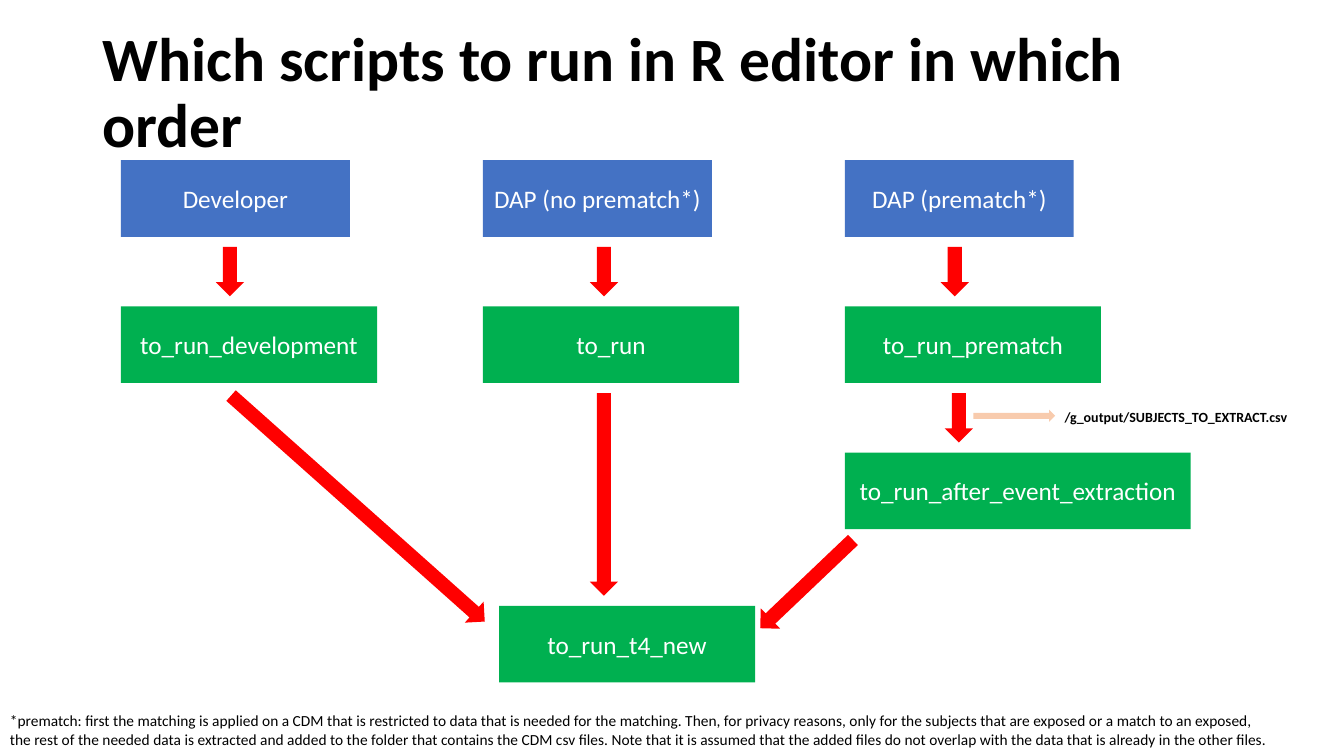
from pptx import Presentation
from pptx.dml.color import RGBColor
from pptx.enum.shapes import MSO_SHAPE
from pptx.enum.text import MSO_ANCHOR, MSO_AUTO_SIZE, PP_ALIGN
from pptx.util import Inches, Pt

BLUE = RGBColor(0x44, 0x72, 0xC4)
GREEN = RGBColor(0x00, 0xB0, 0x50)
RED = RGBColor(0xFF, 0x00, 0x00)
PEACH = RGBColor(0xF8, 0xCB, 0xAD)
WHITE = RGBColor(0xFF, 0xFF, 0xFF)
BLACK = RGBColor(0x00, 0x00, 0x00)

FONT = "Calibri"
COLUMNS = [1.2 + 3.59 * column for column in range(3)]
ROWS = [1.59 + 1.45 * row for row in range(3)]
RESULT_LEFT, RESULT_TOP = 4.95, 6.01
BOX_HEIGHT = 0.76
ROLE_WIDTH, SCRIPT_WIDTH, LONG_WIDTH = 2.27, 2.54, 3.43
ARROW_WIDTH = 0.28
GAP = 0.1
STEP_LENGTH = 0.49

presentation = Presentation()
presentation.slide_width = Inches(13.33)
presentation.slide_height = Inches(7.5)
slide = presentation.slides.add_slide(presentation.slide_layouts[6])


def add_filled(kind, left, top, width, height, color):
    shape = slide.shapes.add_shape(
        kind, Inches(left), Inches(top), Inches(width), Inches(height))
    shape.shadow.inherit = False
    shape.fill.solid()
    shape.fill.fore_color.rgb = color
    shape.line.fill.background()
    return shape


def write_text(shape, text, size, color, bold=False):
    shape.text_frame.text = text
    for paragraph in shape.text_frame.paragraphs:
        for run in paragraph.runs:
            run.font.name = FONT
            run.font.size = Pt(size)
            run.font.bold = bold
            run.font.color.rgb = color


title = slide.shapes.add_textbox(Inches(0.92), Inches(0.4), Inches(11.5), Inches(1.08))
write_text(title, "Which scripts to run in R editor in which order", 44, BLACK, True)
title.text_frame.word_wrap = True
title.text_frame.vertical_anchor = MSO_ANCHOR.MIDDLE
title.text_frame.paragraphs[0].line_spacing = 0.9

boxes = [
    ("Developer", COLUMNS[0], ROWS[0], ROLE_WIDTH, BLUE),
    ("DAP (no prematch*)", COLUMNS[1], ROWS[0], ROLE_WIDTH, BLUE),
    ("DAP (prematch*)", COLUMNS[2], ROWS[0], ROLE_WIDTH, BLUE),
    ("to_run_development", COLUMNS[0], ROWS[1], SCRIPT_WIDTH, GREEN),
    ("to_run", COLUMNS[1], ROWS[1], SCRIPT_WIDTH, GREEN),
    ("to_run_prematch", COLUMNS[2], ROWS[1], SCRIPT_WIDTH, GREEN),
    ("to_run_after_event_extraction", COLUMNS[2], ROWS[2], LONG_WIDTH, GREEN),
    ("to_run_t4_new", RESULT_LEFT, RESULT_TOP, SCRIPT_WIDTH, GREEN),
]
for text, left, top, width, color in boxes:
    box = add_filled(MSO_SHAPE.RECTANGLE, left, top, width, BOX_HEIGHT, color)
    write_text(box, text, 18, WHITE)
    box.text_frame.word_wrap = True
    box.text_frame.vertical_anchor = MSO_ANCHOR.MIDDLE
    box.text_frame.paragraphs[0].alignment = PP_ALIGN.CENTER

below_roles, below_scripts = [top + BOX_HEIGHT + GAP for top in ROWS[:2]]
arrows = [
    (2.14, below_roles, ARROW_WIDTH, STEP_LENGTH, 0, RED),
    (5.85, below_roles, ARROW_WIDTH, STEP_LENGTH, 0, RED),
    (9.33, below_roles, ARROW_WIDTH, STEP_LENGTH, 0, RED),
    (9.37, below_scripts, ARROW_WIDTH, STEP_LENGTH, 0, RED),
    (5.85, below_scripts, ARROW_WIDTH, RESULT_TOP - GAP - below_scripts, 0, RED),
    (3.41, 3.36, ARROW_WIDTH, 3.37, 311.7, RED),
    (7.86, 5.16, ARROW_WIDTH, 1.27, 46.4, RED),
    (10, 3.72, 0.12, 0.81, 270, PEACH),
]
for left, top, width, length, rotation, color in arrows:
    arrow = add_filled(MSO_SHAPE.DOWN_ARROW, left, top, width, length, color)
    arrow.rotation = rotation

output_label = slide.shapes.add_textbox(Inches(10.46), Inches(4), Inches(2.54), Inches(0.27))
write_text(output_label, "/g_output/SUBJECTS_TO_EXTRACT.csv", 10, BLACK, True)
output_label.text_frame.word_wrap = True
output_label.text_frame.auto_size = MSO_AUTO_SIZE.SHAPE_TO_FIT_TEXT

footnote = slide.shapes.add_textbox(0, Inches(7.01), Inches(12.74), Inches(0.47))
write_text(
    footnote,
    "*prematch: first the matching is applied on a CDM that is restricted to data "
    "that is needed for the matching. Then, for privacy reasons, only for the "
    "subjects that are exposed or a match to an exposed,\n"
    "the rest of the needed data is extracted and added to the folder that contains "
    "the CDM csv files. Note that it is assumed that the added files do not overlap "
    "with the data that is already in the other files.",
    11, BLACK)
footnote.text_frame.word_wrap = False
footnote.text_frame.auto_size = MSO_AUTO_SIZE.SHAPE_TO_FIT_TEXT

presentation.save("out.pptx")
